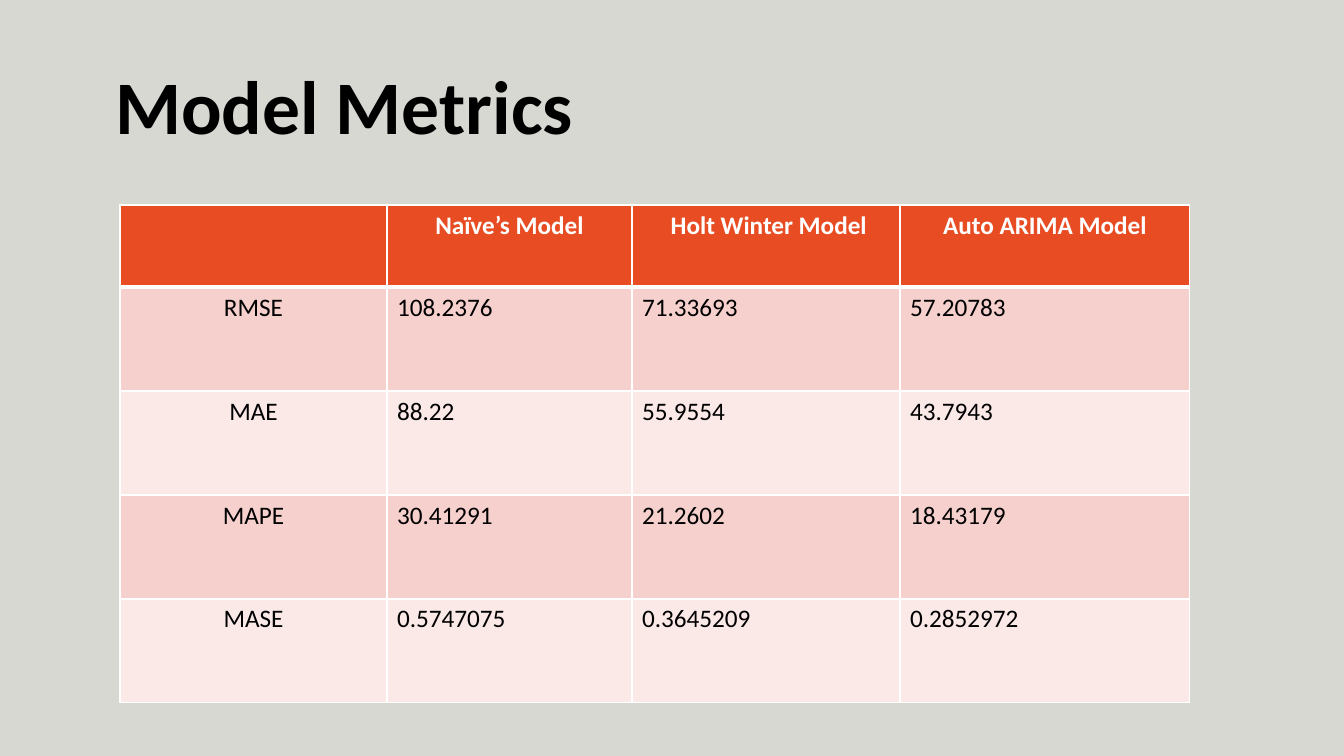
from dataclasses import dataclass

from lxml.etree import SubElement
from pptx import Presentation
from pptx.dml.color import RGBColor
from pptx.enum.text import MSO_ANCHOR, PP_ALIGN
from pptx.oxml.ns import qn
from pptx.util import Emu, Pt

SLIDE_W, SLIDE_H = 1344, 756
EMU_PER_PX = 12192000 / SLIDE_W
FONT = "Calibri"
COLORS = {
    "background": "D8D8D2",
    "header": "E84C22",
    "odd_row": "F6D0CD",
    "even_row": "FBE9E8",
    "white": "FFFFFF",
    "black": "000000",
}
COL_WIDTHS = [267, 245, 268, 290]
HEADER_H, ROW_H = 82, 104


@dataclass
class MetricRow:
    """One table row: its label and one value per model."""
    label: str
    values: tuple[str, ...]


HEADER = MetricRow("", ("Naïve’s Model", " Holt Winter Model", "Auto ARIMA Model"))
METRICS = [
    MetricRow("RMSE", ("108.2376", "71.33693", "57.20783")),
    MetricRow("MAE", ("88.22", "55.9554", "43.7943")),
    MetricRow("MAPE", ("30.41291", "21.2602", "18.43179")),
    MetricRow("MASE", ("0.5747075", "0.3645209", "0.2852972")),
]


def px(n: int) -> Emu:
    """Turn pixels into EMU."""
    return Emu(round(n * EMU_PER_PX))


def color(name: str) -> RGBColor:
    """Look up a named colour."""
    return RGBColor.from_string(COLORS[name])


def add_run(p, text: str, size: int, color_name: str, bold: bool) -> None:
    """Add one formatted run to a paragraph."""
    r = p.add_run()
    r.text = text
    r.font.name = FONT
    r.font.size = Pt(size)
    r.font.bold = bold
    r.font.color.rgb = color(color_name)


def add_title(s, text: str) -> None:
    """Place and fill the title placeholder."""
    sp = s.shapes.title
    sp.left, sp.top, sp.width, sp.height = px(105), px(37), px(1159), px(146)
    tf = sp.text_frame
    tf.vertical_anchor = MSO_ANCHOR.MIDDLE
    p = tf.paragraphs[0]
    p.alignment = PP_ALIGN.LEFT
    p.line_spacing = 0.9
    add_run(p, text, 54, "black", True)


def set_borders(cell, top: int, bottom: int) -> None:
    """Draw white cell borders, with top and bottom widths in points."""
    tc_pr = cell._tc.get_or_add_tcPr()
    for side, width in (("L", 1), ("R", 1), ("T", top), ("B", bottom)):
        ln = SubElement(tc_pr, qn(f"a:ln{side}"), w=str(Pt(width)))
        fill = SubElement(ln, qn("a:solidFill"))
        SubElement(fill, qn("a:srgbClr"), val=COLORS["white"])


def fill_row(table, index: int, row: MetricRow) -> None:
    """Write and format one row of the table."""
    is_header = index == 0
    fill_name = "header" if is_header else "odd_row" if index % 2 else "even_row"
    for col, text in enumerate((row.label, *row.values)):
        cell = table.cell(index, col)
        set_borders(cell, 3 if index == 1 else 1, 3 if is_header else 1)
        cell.fill.solid()
        cell.fill.fore_color.rgb = color(fill_name)
        p = cell.text_frame.paragraphs[0]
        p.alignment = PP_ALIGN.CENTER if is_header or col == 0 else PP_ALIGN.LEFT
        if text:
            add_run(p, text, 18, "white" if is_header else "black", is_header)


def add_metrics_table(s) -> None:
    """Add the table that compares the models."""
    rows = [HEADER, *METRICS]
    heights = [HEADER_H] + [ROW_H] * len(METRICS)
    table = s.shapes.add_table(len(rows), len(COL_WIDTHS), px(120), px(205),
                               px(sum(COL_WIDTHS)), px(sum(heights))).table
    for column, width in zip(table.columns, COL_WIDTHS):
        column.width = px(width)
    for i, (row, height) in enumerate(zip(rows, heights)):
        table.rows[i].height = px(height)
        fill_row(table, i, row)


def main() -> None:
    """Build and save the slide."""
    prs = Presentation()
    prs.slide_width, prs.slide_height = px(SLIDE_W), px(SLIDE_H)
    s = prs.slides.add_slide(prs.slide_layouts[5])
    s.background.fill.solid()
    s.background.fill.fore_color.rgb = color("background")
    add_title(s, "Model Metrics")
    add_metrics_table(s)
    prs.save("out.pptx")


main()
